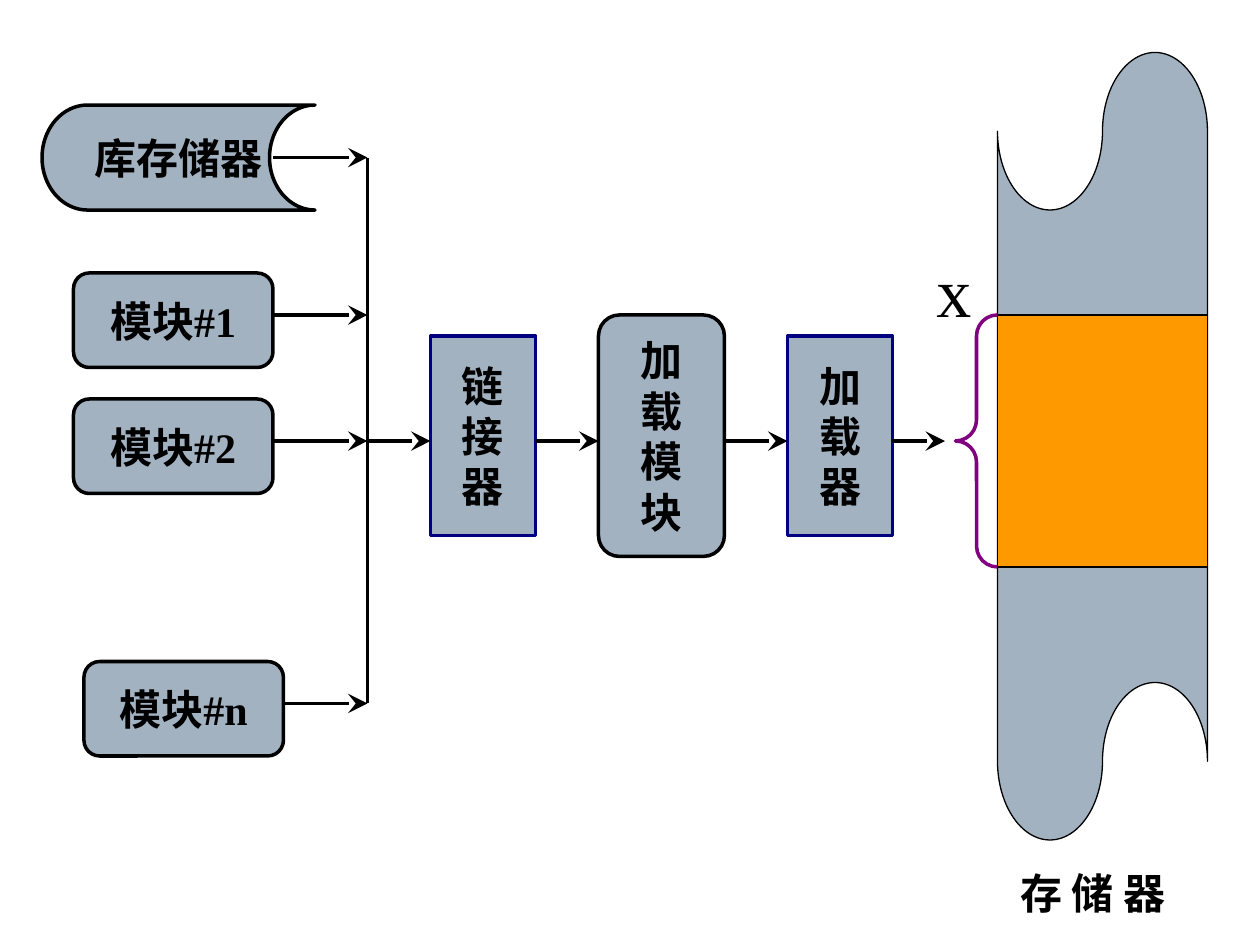
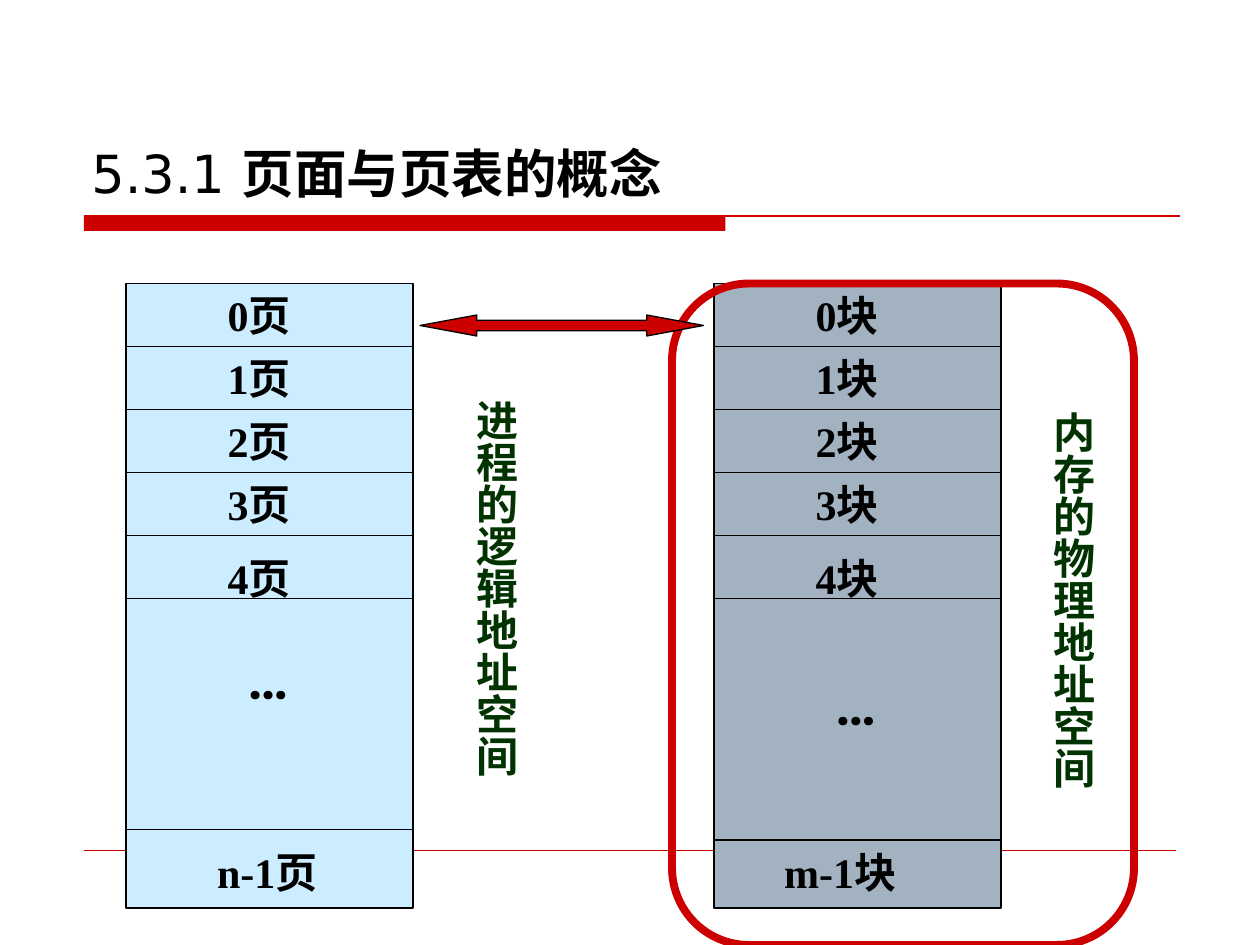
import dataclasses

import pptx
import pptx.dml.color
import pptx.enum.shapes
import pptx.enum.text
import pptx.oxml.ns
import pptx.util
from lxml import etree

Pt = pptx.util.Pt
SHAPES = pptx.enum.shapes.MSO_SHAPE
ANCHOR = pptx.enum.text.MSO_ANCHOR
ALIGN = pptx.enum.text.PP_ALIGN
AUTO_SIZE = pptx.enum.text.MSO_AUTO_SIZE
BLANK_LAYOUT, TITLE_ONLY_LAYOUT = 6, 5


@dataclasses.dataclass(frozen=True)
class Theme:
    black: str = "000000"
    steel: str = "A3B2C1"
    navy: str = "000080"
    orange: str = "FF9900"
    purple: str = "800080"
    red: str = "CC0000"
    sky: str = "CCECFF"
    green: str = "003300"
    body_font: str = "Times New Roman"
    title_font: str = "DejaVu Sans"
    ellipsis_font: str = "Roboto"
    body_size: float = 24
    title_size: float = 30
    ellipsis_size: float = 32
    address_size: float = 40
    hairline: float = 0.25
    thin: float = 0.75
    title_rule: float = 1
    outline: float = 2
    arrow: float = 2.25
    frame: float = 4.5


def rgb(color):
    return pptx.dml.color.RGBColor.from_string(color)


class Deck:
    def __init__(self, theme):
        self.theme = theme
        self.presentation = pptx.Presentation()
        self.presentation.slide_width = Pt(720)
        self.presentation.slide_height = Pt(540)
        self.slide = self.shapes = None

    def new_slide(self, layout):
        layouts = self.presentation.slide_layouts
        self.slide = self.presentation.slides.add_slide(layouts[layout])
        self.shapes = self.slide.shapes

    def start_group(self):
        self.shapes = self.slide.shapes.add_group_shape().shapes

    def end_group(self):
        self.shapes = self.slide.shapes

    def style_paragraph(self, paragraph, size=None, font=None, color=None, bold=True):
        paragraph.font.size = Pt(size or self.theme.body_size)
        paragraph.font.name = font or self.theme.body_font
        paragraph.font.color.rgb = rgb(color or self.theme.black)
        paragraph.font.bold = bold

    def title(self, number, words):
        """Number in regular weight, words in bold, above the two-weight rule."""
        placeholder = self.slide.shapes.title
        placeholder.left, placeholder.top = Pt(45), Pt(32)
        placeholder.width, placeholder.height = Pt(630), Pt(88)
        frame = placeholder.text_frame
        frame.vertical_anchor = ANCHOR.BOTTOM
        frame.auto_size = AUTO_SIZE.NONE
        paragraph = frame.paragraphs[0]
        paragraph.alignment = ALIGN.LEFT
        self.style_paragraph(paragraph, self.theme.title_size, self.theme.title_font, bold=False)
        paragraph.add_run().text = number
        bold_run = paragraph.add_run()
        bold_run.text = words
        bold_run.font.bold = True

    def title_rules(self):
        red = self.theme.red
        self.shape(SHAPES.RECTANGLE, 48, 123, 366.5, 9, fill=red)
        self.line(48, 123.25, 674.5, 123.25, self.theme.title_rule, red)
        self.line(48, 486, 672, 486, self.theme.hairline, red)

    def shape(self, kind, left, top, width, height, fill=None, line=None,
              weight=None, text="", adjustments=(), **text_style):
        shape = self.shapes.add_shape(kind, Pt(left), Pt(top), Pt(width), Pt(height))
        shape.shadow.inherit = False
        for index, value in enumerate(adjustments):
            shape.adjustments[index] = value
        if fill:
            shape.fill.solid()
            shape.fill.fore_color.rgb = rgb(fill)
        else:
            shape.fill.background()
        if line:
            shape.line.color.rgb = rgb(line)
            shape.line.width = Pt(weight or self.theme.thin)
        else:
            shape.line.fill.background()
        if text:
            frame = shape.text_frame
            frame.text = text
            frame.word_wrap = False
            frame.vertical_anchor = ANCHOR.MIDDLE
            for paragraph in frame.paragraphs:
                paragraph.alignment = ALIGN.CENTER
                self.style_paragraph(paragraph, **text_style)

    def line(self, x1, y1, x2, y2, weight, color=None, arrow=False):
        straight = pptx.enum.shapes.MSO_CONNECTOR.STRAIGHT
        connector = self.shapes.add_connector(straight, Pt(x1), Pt(y1), Pt(x2), Pt(y2))
        connector.line.color.rgb = rgb(color or self.theme.black)
        connector.line.width = Pt(weight)
        properties = connector._element.spPr
        if arrow:
            outline = properties.find(pptx.oxml.ns.qn("a:ln"))
            etree.SubElement(outline, pptx.oxml.ns.qn("a:tailEnd"),
                             type="stealth", w="lg", len="lg")
        etree.SubElement(properties, pptx.oxml.ns.qn("a:effectLst"))

    def arrow(self, start, end, y):
        self.line(start, y, end, y, self.theme.arrow, arrow=True)

    def label(self, text, left, top, width, height, wrap=True, vertical=False, **text_style):
        box = self.shapes.add_textbox(Pt(left), Pt(top), Pt(width), Pt(height))
        frame = box.text_frame
        frame.word_wrap = wrap
        frame.auto_size = AUTO_SIZE.SHAPE_TO_FIT_TEXT
        if vertical:
            frame._txBody.bodyPr.set("vert", "eaVert")
            frame.margin_left = frame.margin_right = Pt(3.6)
            frame.margin_top = frame.margin_bottom = Pt(7.2)
        frame.text = text
        self.style_paragraph(frame.paragraphs[0], **text_style)

    def memory_column(self, left, fill, unit, last_name, last_row_top, last_label_left, ellipsis):
        """Stack of numbered cells; ellipsis is the rectangle holding the dots."""
        theme = self.theme
        top, width, row_height, numbered_rows = 162, 164, 36, 5
        self.start_group()
        self.shape(SHAPES.RECTANGLE, left, top, width, 357, fill, theme.black)
        for row in range(numbered_rows):
            row_top = top + row * row_height
            divider = row_top + row_height
            self.line(left, divider, left + width, divider, theme.thin)
            drop = 6 if row == numbered_rows - 1 else 0
            self.label(f"{row}{unit}", left + 51, row_top + drop, 57, row_height, wrap=False)
        self.line(left, last_row_top, left + width, last_row_top, theme.thin)
        self.shape(SHAPES.RECTANGLE, *ellipsis, fill, text="…",
                   size=theme.ellipsis_size, font=theme.ellipsis_font)
        self.label(last_name + unit, last_label_left, 480, 90, row_height, wrap=False)
        self.end_group()


def build_loading_slide(deck):
    theme = deck.theme
    deck.new_slide(BLANK_LAYOUT)
    boxed = {"fill": theme.steel, "line": theme.black, "weight": theme.outline}
    tool = {**boxed, "line": theme.navy}
    rounded = SHAPES.FLOWCHART_ALTERNATE_PROCESS
    bus_x, flow_y = 210, 252

    deck.shape(SHAPES.FLOWCHART_STORED_DATA, 24, 60, 156, 60, text="库存储器", **boxed)
    for name, left, top in (("#1", 42, 156), ("#2", 42, 228), ("#n", 48, 378)):
        deck.shape(rounded, left, top, 114, 54, text="模块" + name, **boxed)
    deck.shape(SHAPES.RECTANGLE, 246, 192, 60, 114, text="链\n接\n器", **tool)
    deck.shape(rounded, 342, 180, 72, 138, text="加\n载\n模\n块", **boxed)
    deck.shape(SHAPES.RECTANGLE, 450, 192, 60, 114, text="加\n载\n器", **tool)

    for start, y in ((156, 90), (156, 180), (156, flow_y), (162, 402)):
        deck.arrow(start, bus_x, y)
    deck.line(bus_x, 90, bus_x, 402, theme.outline)
    for start, end in ((bus_x, 246), (306, 342), (414, 450), (510, 540)):
        deck.arrow(start, end, flow_y)

    deck.shape(SHAPES.FLOWCHART_PUNCHED_TAPE, 570, 30, 120, 450, theme.steel, theme.black)
    deck.shape(SHAPES.RECTANGLE, 570, 180, 120, 144, theme.orange, theme.black)
    deck.shape(SHAPES.LEFT_BRACE, 546, 180, 24, 144, line=theme.purple,
               weight=theme.outline, adjustments=(0.5, 0.5))
    deck.label("x", 528, 138, 30, 55, size=theme.address_size, bold=False)
    deck.label("存 储 器", 576, 492, 114, 36)


def build_paging_slide(deck):
    theme = deck.theme
    deck.new_slide(TITLE_ONLY_LAYOUT)
    deck.title_rules()
    deck.title("5.3.1 ", "页面与页表的概念")
    deck.memory_column(408, theme.steel, "块", "m-1", 480, 441, (456, 384, 66, 36))
    deck.memory_column(72, theme.sky, "页", "n-1", 474, 117, (108, 366, 90, 42))
    deck.label("进程的逻辑地址空间", 258.5, 221, 43, 231, vertical=True, color=theme.green)
    deck.shape(SHAPES.ROUNDED_RECTANGLE, 384, 162, 264, 378, line=theme.red, weight=theme.frame)
    deck.label("内存的物理地址空间", 588, 228, 43, 231, vertical=True, color=theme.green)
    deck.shape(SHAPES.LEFT_RIGHT_ARROW, 240, 180, 162, 12, theme.red, theme.black,
               adjustments=(0.5, 2.7))


def main():
    deck = Deck(Theme())
    build_loading_slide(deck)
    build_paging_slide(deck)
    deck.presentation.save("out.pptx")


if __name__ == "__main__":
    main()
